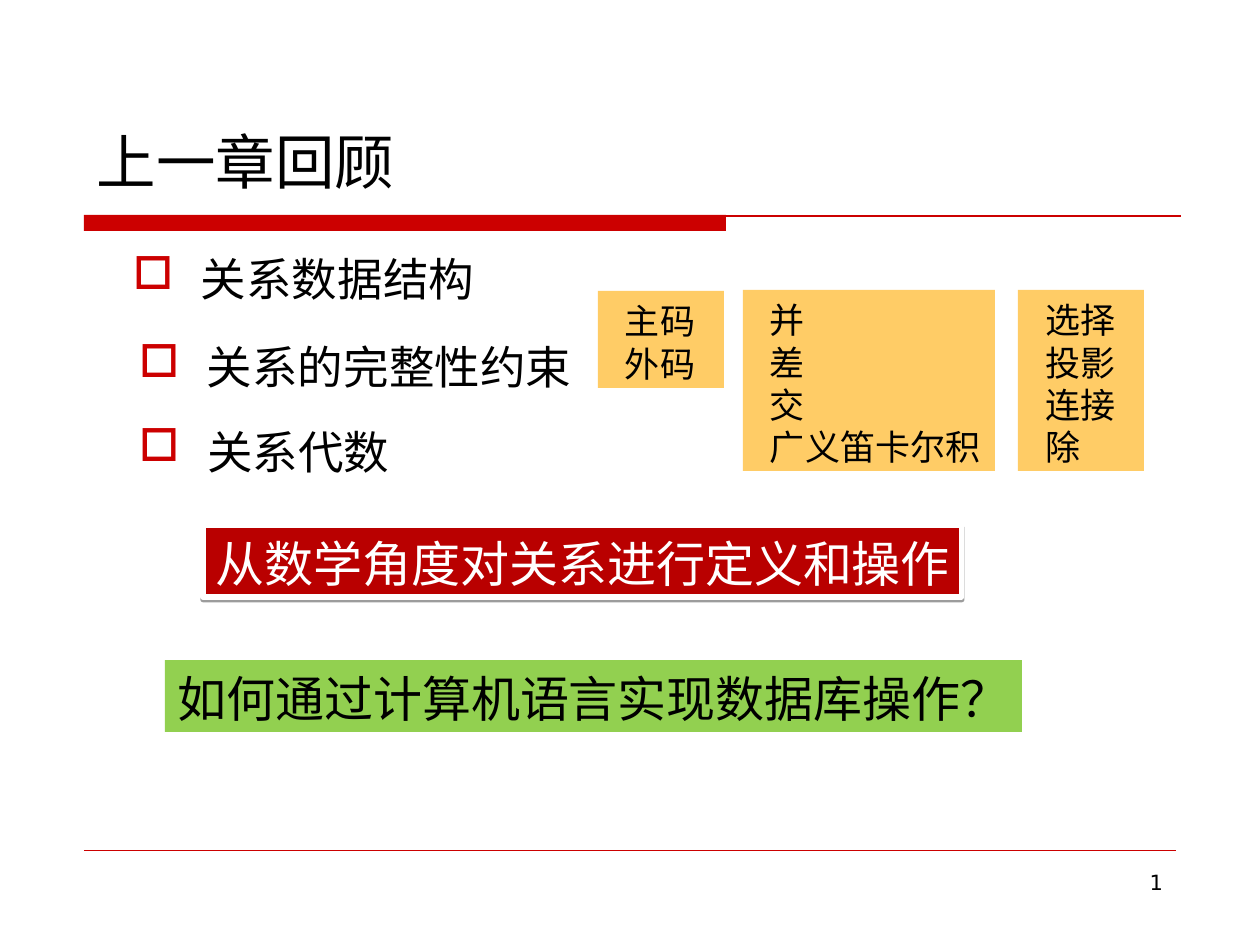
from lxml import etree
from pptx import Presentation
from pptx.dml.color import RGBColor
from pptx.enum.shapes import MSO_CONNECTOR, MSO_SHAPE
from pptx.enum.text import MSO_ANCHOR, PP_ALIGN
from pptx.oxml.ns import qn
from pptx.util import Pt

STRAIGHT = MSO_CONNECTOR.STRAIGHT
RECTANGLE = MSO_SHAPE.RECTANGLE
TOP, BOTTOM = MSO_ANCHOR.TOP, MSO_ANCHOR.BOTTOM
LEFT, CENTER, RIGHT = PP_ALIGN.LEFT, PP_ALIGN.CENTER, PP_ALIGN.RIGHT

EMU_PER_PX = 914400 / 126
COLORS = {
    "text": "000000",
    "white": "FFFFFF",
    "accent": "CC0000",
    "summary": "B90000",
    "question": "92D050",
    "detail": "FFCC66",
}
LATIN_FONT = "DejaVu Sans"
CJK_FONT = "Noto Sans CJK SC"


def px(length):
    return round(length * EMU_PER_PX)


def color(name):
    return RGBColor.from_string(COLORS[name])


class SlideBuilder:
    line_height = 1.2
    insets = (13, 9, 13, 3)

    def __init__(self, slide):
        self.slide = slide

    def fill_text(self, shape, lines, size, ink="text", font=LATIN_FONT, align=LEFT,
                  anchor=TOP, wrap=True, spacing=1, margin=0, indent=0):
        frame = shape.text_frame
        frame.word_wrap = wrap
        frame.vertical_anchor = anchor
        (frame.margin_left, frame.margin_top,
         frame.margin_right, frame.margin_bottom) = map(px, self.insets)
        for index, line in enumerate(lines):
            paragraph = frame.add_paragraph() if index else frame.paragraphs[0]
            paragraph.alignment = align
            paragraph.line_spacing = Pt(round(size * self.line_height * spacing, 1))
            properties = paragraph._p.get_or_add_pPr()
            properties.set("marL", str(px(margin)))
            properties.set("indent", str(px(indent)))
            run = paragraph.add_run()
            run.text = line
            run.font.size = Pt(size)
            run.font.name = font
            run.font.color.rgb = color(ink)
            east_asian = etree.SubElement(run._r.get_or_add_rPr(), qn("a:ea"))
            east_asian.set("typeface", CJK_FONT)

    def text(self, box, lines, size, **style):
        shape = self.slide.shapes.add_textbox(*map(px, box))
        self.fill_text(shape, lines, size, **style)
        return shape

    def bullet(self, box, line, spacing=1):
        shape = self.text(box, [line], 26, spacing=spacing, margin=68, indent=-68)
        paragraph = shape.text_frame.paragraphs[0]
        paragraph.space_before = Pt(6.5)
        properties = paragraph._p.get_or_add_pPr()
        bullet_color = etree.SubElement(properties, qn("a:buClr"))
        etree.SubElement(bullet_color, qn("a:srgbClr")).set("val", COLORS["accent"])
        etree.SubElement(properties, qn("a:buChar")).set("char", "□")

    def block(self, box, fill):
        shape = self.slide.shapes.add_shape(RECTANGLE, *map(px, box))
        shape.fill.solid()
        shape.fill.fore_color.rgb = color(fill)
        shape.line.fill.background()
        shape.shadow.inherit = False
        return shape

    def panel(self, box, fill, lines, size, **style):
        shape = self.block(box, fill)
        self.fill_text(shape, lines, size, **style)
        return shape

    def raise_panel(self, shape):
        shape.line.color.rgb = color("white")
        shape.line.width = Pt(3)
        effects = shape._element.spPr.find(qn("a:effectLst"))
        shadow = etree.SubElement(effects, qn("a:outerShdw"), blurRad="0",
                                  dist=str(Pt(1.6)), dir="5400000", rotWithShape="0")
        shade = etree.SubElement(shadow, qn("a:srgbClr"), val=COLORS["text"])
        etree.SubElement(shade, qn("a:alpha"), val="38000")

    def rule(self, left, right, y, width):
        connector = self.slide.shapes.add_connector(
            STRAIGHT, px(left), px(y), px(right), px(y))
        connector.line.color.rgb = color("accent")
        connector.line.width = Pt(width)
        etree.SubElement(connector._element.spPr, qn("a:effectLst"))


def main():
    presentation = Presentation()
    presentation.slide_width = px(1260)
    presentation.slide_height = px(945)
    builder = SlideBuilder(presentation.slides.add_slide(presentation.slide_layouts[6]))

    builder.block((84, 215, 642, 16), "accent")
    builder.rule(84, 1181, 216, 0.75)
    builder.rule(84, 1176, 850, 0.25)
    builder.text((903, 861, 273, 66), ["1"], 12, align=RIGHT)
    builder.text((84, 116, 630, 83), ["上一章回顾"], 34, anchor=BOTTOM)

    builder.bullet((120, 242, 845, 84), "关系数据结构")
    builder.bullet((126, 336, 630, 62), "关系的完整性约束", spacing=0.9)
    builder.bullet((126, 420, 357, 62), "关系代数", spacing=0.9)

    builder.panel((165, 660, 857, 72), "question", ["如何通过计算机语言实现数据库操作？"],
                  28, font=CJK_FONT, align=CENTER, wrap=False)
    summary = builder.panel((203, 525, 759, 72), "summary",
                            ["从数学角度对关系进行定义和操作"],
                            28, ink="white", wrap=False)
    builder.raise_panel(summary)

    details = [
        ((743, 290, 252, 181), ["并", "差", "交", "广义笛卡尔积"]),
        ((1018, 290, 126, 181), ["选择", "投影", "连接", "除"]),
        ((598, 291, 126, 97), ["主码", "外码"]),
    ]
    for box, lines in details:
        builder.panel(box, "detail", lines, 20, font=CJK_FONT, margin=79, indent=-65)

    presentation.save("out.pptx")


if __name__ == "__main__":
    main()
